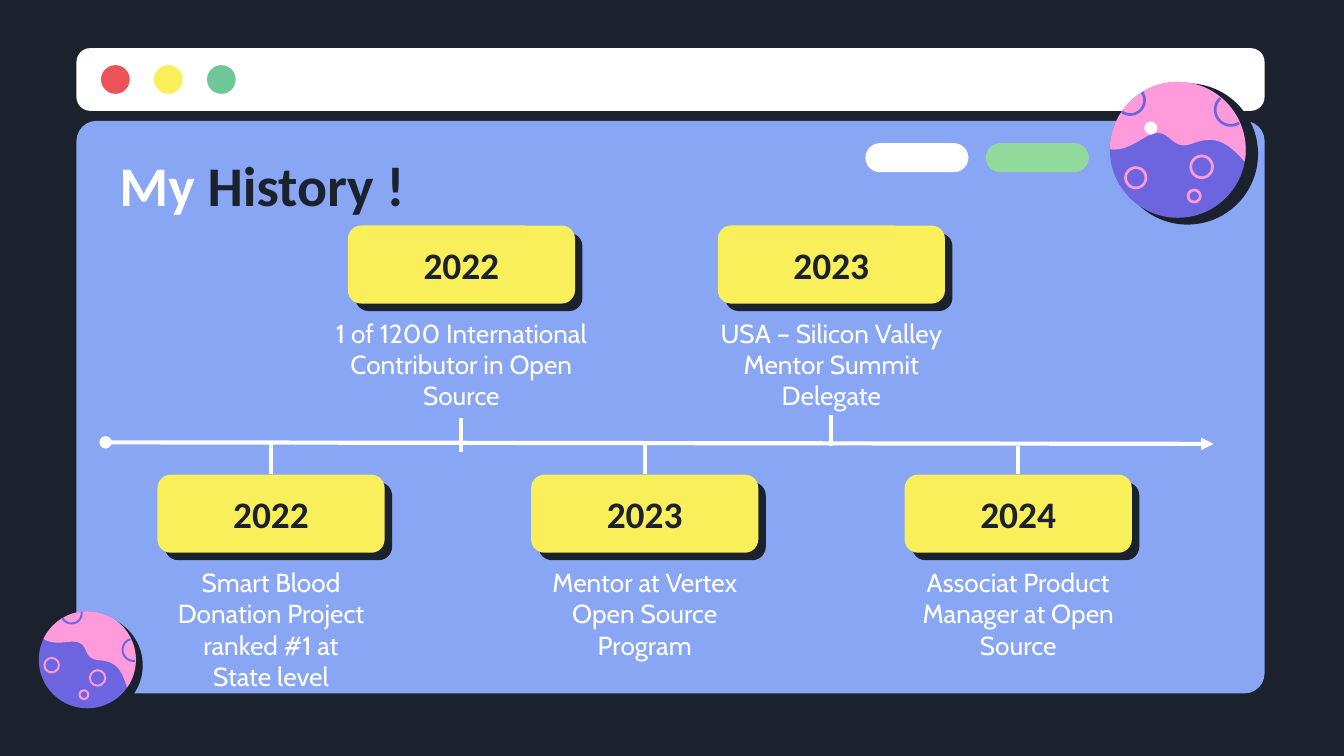
from dataclasses import dataclass
from math import atan2, cos, hypot, pi, radians, sin

from lxml.etree import SubElement
from pptx import Presentation
from pptx.dml.color import RGBColor
from pptx.enum.shapes import MSO_CONNECTOR, MSO_SHAPE
from pptx.enum.text import MSO_ANCHOR, PP_ALIGN
from pptx.oxml.ns import qn
from pptx.util import Pt


@dataclass(frozen=True)
class Theme:
    dark: str = "1B222D"
    white: str = "FFFFFF"
    blue: str = "88A6F3"
    yellow: str = "F8EF5B"
    red: str = "EB5358"
    teal: str = "6DC797"
    green: str = "92D99C"
    purple: str = "6D65E0"
    pink: str = "FF9BDA"
    heading_font: str = "Calibri"
    body_font: str = "Cabin"
    title_size: int = 30
    year_size: int = 20
    caption_size: int = 14
    rule: float = 2.25


THEME = Theme()

TITLE = [("My ", THEME.white), ("History !", THEME.dark)]
UPPER, LOWER = 120.8, 254.3
MILESTONES = [
    ("2022", "Smart Blood Donation Project ranked #1 at State level", 145.2, LOWER, 118, (254, 237.5)),
    ("2022", "1 of 1200 International Contributor in Open Source", 247.2, UPPER, 173, (242, 224)),
    ("2023", "Mentor at Vertex Open Source Program", 345.4, LOWER, 121, (254, 237.5)),
    ("2023", "USA – Silicon Valley Mentor Summit Delegate", 445.4, UPPER, 150, (222.5, 239)),
    ("2024", "Associat Product Manager at Open Source", 545.5, LOWER, 117.5, (254, 239)),
]
WINDOW_BUTTONS = [THEME.red, THEME.yellow, THEME.teal]
TABS = [THEME.white, THEME.green]
PLANETS = [(631, 80.3, 36.4, 0), (46.8, 353.5, 26, 25)]

WAVE_START = (0.98, 0.17)
WAVE = [
    ((0.7, -0.15), (0.52, -0.21), (0.21, -0.09)),
    ((-0.15, 0.05), (-0.09, -0.45), (-0.54, -0.15)),
    ((-0.76, -0.01), (-0.9, 0.01), (-1, -0.01)),
]
GROUND_CRATERS = [(-0.62, 0.41, 0.15), (0.35, 0.25, 0.16), (0.24, 0.68, 0.09)]
SKY_CRATERS = [(-0.7, -0.73, 0.21), (0.78, -0.59, 0.23)]
PLANET_SHADOW = (0.14, 0.06, 1.04)

CARD_WIDTH, CARD_HEIGHT, CARD_SHADOW = 121.7, 41.8, 4
CAPTION_HEIGHT = 60

deck = Presentation()
deck.slide_width, deck.slide_height = Pt(720), Pt(405)
slide = deck.slides.add_slide(deck.slide_layouts[6])
slide.background.fill.solid()
slide.background.fill.fore_color.rgb = RGBColor.from_string(THEME.dark)


def paint(shape, fill=None, line=None, width=0):
    shape.shadow.inherit = False
    if fill:
        shape.fill.solid()
        shape.fill.fore_color.rgb = RGBColor.from_string(fill)
    else:
        shape.fill.background()
    if line:
        shape.line.color.rgb = RGBColor.from_string(line)
        shape.line.width = Pt(width)
    else:
        shape.line.fill.background()
    return shape


def add_panel(left, top, width, height, fill, rounding):
    panel = slide.shapes.add_shape(
        MSO_SHAPE.ROUNDED_RECTANGLE, Pt(left), Pt(top), Pt(width), Pt(height))
    panel.adjustments[0] = rounding
    return paint(panel, fill)


def add_circle(x, y, radius, fill=None, line=None, width=0):
    circle = slide.shapes.add_shape(
        MSO_SHAPE.OVAL, Pt(x - radius), Pt(y - radius), Pt(2 * radius), Pt(2 * radius))
    return paint(circle, fill, line, width)


def add_outline(points, close, **colours):
    corners = [(Pt(x), Pt(y)) for x, y in points]
    builder = slide.shapes.build_freeform(*corners[0], scale=1.0)
    builder.add_line_segments(corners[1:], close=close)
    return paint(builder.convert_to_shape(), **colours)


def add_rule(x1, y1, x2, y2):
    rule = slide.shapes.add_connector(MSO_CONNECTOR.STRAIGHT, Pt(x1), Pt(y1), Pt(x2), Pt(y2))
    rule.line.color.rgb = RGBColor.from_string(THEME.white)
    rule.line.width = Pt(THEME.rule)
    SubElement(rule._element.spPr, qn("a:effectLst"))
    return rule


def write(shape, runs, font, size, bold=False, align=PP_ALIGN.CENTER, anchor=MSO_ANCHOR.MIDDLE):
    frame = shape.text_frame
    frame.word_wrap = True
    frame.vertical_anchor = anchor
    frame.margin_left = frame.margin_right = frame.margin_top = frame.margin_bottom = Pt(7.2)
    paragraph = frame.paragraphs[0]
    paragraph.alignment = align
    paragraph.font.name, paragraph.font.size, paragraph.font.bold = font, Pt(size), bold
    for text, colour in runs:
        run = paragraph.add_run()
        run.text = text
        run.font.color.rgb = RGBColor.from_string(colour)


def add_text(left, top, width, height, *args, **options):
    box = slide.shapes.add_textbox(Pt(left), Pt(top), Pt(width), Pt(height))
    write(box, *args, **options)


def bezier(start, a, b, end, steps=12):
    for t in (i / steps for i in range(1, steps + 1)):
        weights = ((1 - t) ** 3, 3 * t * (1 - t) ** 2, 3 * t * t * (1 - t), t ** 3)
        yield tuple(sum(w * p[axis] for w, p in zip(weights, (start, a, b, end))) for axis in (0, 1))


def sky_outline():
    points = [(cos(radians(d)), sin(radians(d))) for d in range(181, 370, 4)] + [WAVE_START]
    for curve in WAVE:
        points += bezier(points[-1], *curve)
    return points


def crater_arc(x, y, radius):
    outward = atan2(y, x)
    circle = [(x + radius * cos(outward + i * pi / 36), y + radius * sin(outward + i * pi / 36))
              for i in range(72)]
    return [point for point in circle if hypot(*point) < 1]


def add_planet(x, y, radius, tilt):
    c, s = cos(radians(tilt)), sin(radians(tilt))

    def place(u, v):
        return x + radius * (u * c - v * s), y + radius * (u * s + v * c)

    ring = 0.04 * radius
    u, v, spread = PLANET_SHADOW
    add_circle(*place(u, v), radius * spread, THEME.dark)
    add_circle(x, y, radius, THEME.purple)
    add_outline([place(*p) for p in sky_outline()], True, fill=THEME.pink)
    for u, v, size in GROUND_CRATERS:
        add_circle(*place(u, v), radius * size, line=THEME.pink, width=ring)
    for crater in SKY_CRATERS:
        add_outline([place(*p) for p in crater_arc(*crater)], False, line=THEME.purple, width=ring)


add_panel(41, 64.8, 636.5, 306.7, THEME.blue, 0.035)
add_panel(41, 25.8, 636.5, 33.6, THEME.white, 0.22)
for i, colour in enumerate(WINDOW_BUTTONS):
    add_circle(61.8 + 28.4 * i, 42.6, 7.7, colour)
for i, colour in enumerate(TABS):
    add_panel(463.6 + 64.5 * i, 76.7, 55.2, 15.6, colour, 0.5)
for planet in PLANETS:
    add_planet(*planet)
add_circle(616.5, 68.6, 3.5, THEME.white)

add_text(56.9, 76.3, 607, 44.6, TITLE, THEME.heading_font, THEME.title_size,
         bold=True, align=PP_ALIGN.LEFT)

timeline = add_rule(56.6, 237, 650.2, 237.8)
line_xml = timeline.line._get_or_add_ln()
SubElement(line_xml, qn("a:headEnd"), type="oval")
SubElement(line_xml, qn("a:tailEnd"), type="triangle")

for year, caption, centre, top, caption_width, (tick_start, tick_end) in MILESTONES:
    left = centre - CARD_WIDTH / 2
    add_rule(centre, tick_start, centre, tick_end)
    add_panel(left + CARD_SHADOW, top + CARD_SHADOW, CARD_WIDTH, CARD_HEIGHT, THEME.dark, 0.17)
    card = add_panel(left, top, CARD_WIDTH, CARD_HEIGHT, THEME.yellow, 0.17)
    write(card, [(year, THEME.dark)], THEME.heading_font, THEME.year_size, bold=True)
    add_text(centre - caption_width / 2, top + CARD_HEIGHT, caption_width, CAPTION_HEIGHT,
             [(caption, THEME.white)], THEME.body_font, THEME.caption_size, anchor=MSO_ANCHOR.TOP)

deck.save("out.pptx")
